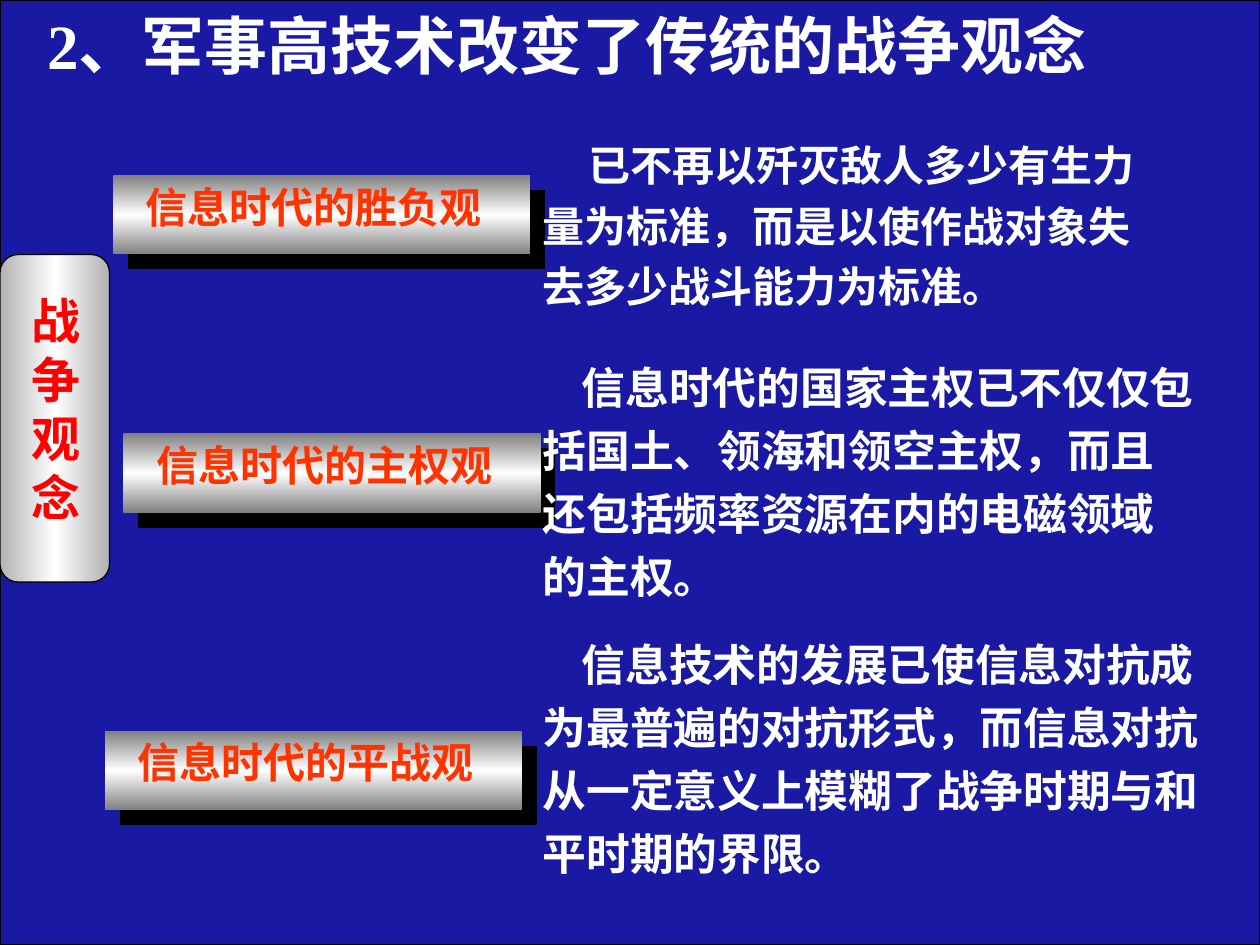
from lxml.etree import SubElement
from pptx import Presentation
from pptx.dml.color import RGBColor
from pptx.enum.shapes import MSO_SHAPE
from pptx.enum.text import PP_ALIGN
from pptx.oxml import parse_xml
from pptx.oxml.ns import nsdecls, qn
from pptx.util import Inches, Pt

# Content
TITLE = "2、军事高技术改变了传统的战争观念"
TOPIC = "战争观念"
LABELS = [  # left, top, text
    (0.9, 1.39, "信息时代的胜负观"),
    (0.83, 5.8, "信息时代的平战观"),
    (0.98, 3.44, "信息时代的主权观"),
]
NOTES = [  # top, width, height, size, font, first-line indent, top inset, text
    (0.91, 4.92, 1.62, 24, "Noto Sans CJK SC", 0.36, 0.12,
     "已不再以歼灭敌人多少有生力量为标准，而是以使作战对象失去多少战斗能力为标准。"),
    (2.73, 5.39, 2.1, 25, "Arial", 0.31, 0.05,
     "信息时代的国家主权已不仅仅包括国土、领海和领空主权，而且还包括频率资源在内的电磁领域的主权。"),
    (4.93, 5.59, 2.1, 25, "Arial", 0.31, 0.05,
     "信息技术的发展已使信息对抗成为最普遍的对抗形式，而信息对抗从一定意义上模糊了战争时期与和平时期的界限。"),
]

deck = Presentation()
deck.slide_width, deck.slide_height = Inches(10), Inches(7.5)
slide = deck.slides.add_slide(deck.slide_layouts[6])


def color(code):
    return RGBColor.from_string(code)


def add_shadow(parent, dist):
    """Add a hard black shadow toward the lower right."""
    parent.append(parse_xml(
        f'<a:outerShdw {nsdecls("a")} dist="{Pt(dist)}" dir="2700000" algn="tl" '
        'rotWithShape="0"><a:srgbClr val="000000"/></a:outerShdw>'))


def add_text(lines, box, size=24, font="Times New Roman", ink="FFFFFF", align=PP_ALIGN.LEFT,
             space=1.0, indent=0, top=0.05, shadow=False):
    frame = slide.shapes.add_textbox(*map(Inches, box)).text_frame
    frame.word_wrap = True
    frame.margin_top = Inches(top)
    for i, line in enumerate(lines):
        para = frame.paragraphs[0] if i == 0 else frame.add_paragraph()
        para.alignment = align
        para.line_spacing = space
        if indent:
            para._p.get_or_add_pPr().set("indent", str(Inches(indent)))
        run = para.add_run()
        run.text = line
        run.font.size, run.font.bold, run.font.name = Pt(size), True, font
        run.font.color.rgb = color(ink)
        props = run._r.get_or_add_rPr()
        if shadow:
            effects = parse_xml(f'<a:effectLst {nsdecls("a")}/>')
            add_shadow(effects, 2)
            props.find(qn("a:solidFill")).addnext(effects)
        east = parse_xml(f'<a:ea {nsdecls("a")} typeface="Noto Sans CJK SC"/>')
        props.find(qn("a:latin")).addnext(east)


def add_block(kind, box, line=None):
    shape = slide.shapes.add_shape(kind, *map(Inches, box))
    shape.shadow.inherit = False
    if line:
        shape.line.color.rgb = color(line)
        shape.line.width = Pt(0.75)
    else:
        shape.line.fill.background()
    return shape


def fill_bands(shape, edge, angle):
    """Fill with a gradient from edge to white and back."""
    stops = "".join(f'<a:gs pos="{pos}"><a:srgbClr val="{code}"/></a:gs>'
                    for pos, code in ((0, edge), (50000, "FFFFFF"), (100000, edge)))
    shape._element.spPr.find(qn("a:prstGeom")).addnext(parse_xml(
        f'<a:gradFill {nsdecls("a")} rotWithShape="1"><a:gsLst>{stops}</a:gsLst>'
        f'<a:lin ang="{angle * 60000}" scaled="0"/></a:gradFill>'))


# Backdrop
back = add_block(MSO_SHAPE.RECTANGLE, (0, 0, 10, 7.5), "000000")
back.fill.solid()
back.fill.fore_color.rgb = color("000099")
tint = back._element.spPr.find(qn("a:solidFill")).find(qn("a:srgbClr"))
SubElement(tint, qn("a:alpha")).set("val", "90000")

# Topic, one character to a line
topic = add_block(MSO_SHAPE.FLOWCHART_ALTERNATE_PROCESS, (0, 2.02, 0.87, 2.6), "000000")
fill_bands(topic, "B2B2B2", 0)
add_text(TOPIC, (0.15, 2.26, 0.59, 1.97), size=28, font="Arial", ink="FF0000", shadow=True)

# Labels
for left, top, text in LABELS:
    bar = add_block(MSO_SHAPE.FLOWCHART_PROCESS, (left, top, 3.31, 0.63))
    fill_bands(bar, "808080", 90)
    add_shadow(bar._element.spPr.find(qn("a:effectLst")), 12.1)
    add_text([text], (left + 0.16, top, 2.99, 0.5), ink="FF3300", shadow=True)

# Notes
for top, width, height, size, font, indent, inset, text in NOTES:
    add_text([text], (4.21, top, width, height), size=size, font=font,
             space=1.2, indent=indent, top=inset)

# Title
add_text([TITLE], (0, 0, 9, 1.25), size=36, align=PP_ALIGN.CENTER)

deck.save("out.pptx")
